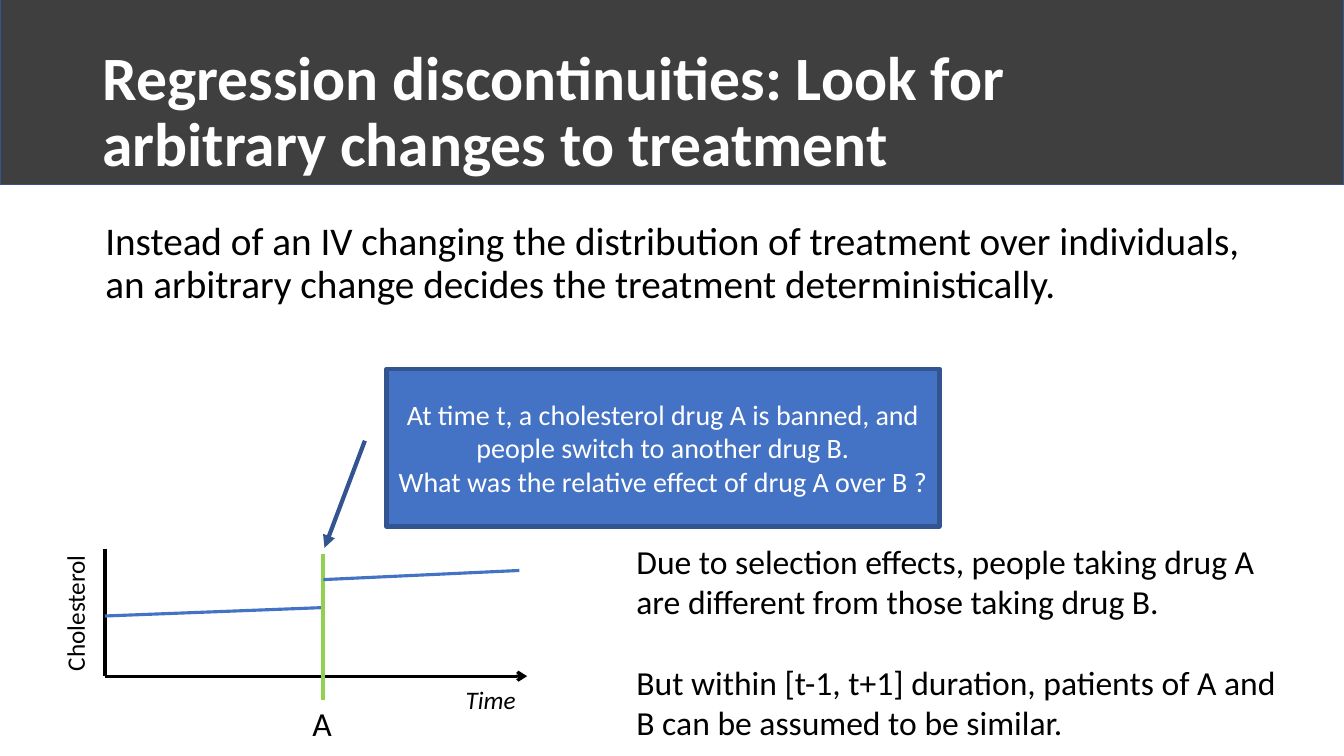
import pptx
import pptx.dml.color
import pptx.enum.shapes
import pptx.enum.text
import pptx.oxml.ns
import pptx.util
from lxml import etree

Pt = pptx.util.Pt
RGBColor = pptx.dml.color.RGBColor
Align = pptx.enum.text.PP_ALIGN
Anchor = pptx.enum.text.MSO_ANCHOR
AutoSize = pptx.enum.text.MSO_AUTO_SIZE
Shape = pptx.enum.shapes.MSO_SHAPE
qn = pptx.oxml.ns.qn

BLACK = RGBColor(0x00, 0x00, 0x00)
WHITE = RGBColor(0xFF, 0xFF, 0xFF)
CHARCOAL = RGBColor(0x3F, 0x3F, 0x3F)
BLUE = RGBColor(0x44, 0x72, 0xC4)
DARK_BLUE = RGBColor(0x32, 0x54, 0x91)
GREEN = RGBColor(0x92, 0xD0, 0x50)


class SlideBuilder:
    """Holds the font and the current slide; all lengths are in points."""

    font = "Calibri"

    def __init__(self, slide):
        self.slide = slide

    def add_runs(self, frame, paragraphs, size, color=BLACK, bold=False,
                 italic=False, align=Align.LEFT, gap=0, spacing=None):
        for i, words in enumerate(paragraphs):
            paragraph = frame.add_paragraph() if i else frame.paragraphs[0]
            paragraph.alignment = align
            paragraph.space_before = Pt(gap if i else 0)
            if spacing:
                paragraph.line_spacing = spacing
            run = paragraph.add_run()
            run.text = words
            run.font.name = self.font
            run.font.size = Pt(size)
            run.font.bold = bold
            run.font.italic = italic
            run.font.color.rgb = color

    def placeholder(self, index, box, words, size, anchor, **style):
        holder = self.slide.placeholders[index]
        holder.left, holder.top, holder.width, holder.height = map(Pt, box)
        frame = holder.text_frame
        frame.word_wrap = True
        frame.auto_size = AutoSize.NONE
        frame.vertical_anchor = anchor
        properties = frame.paragraphs[0]._p.get_or_add_pPr()
        properties.set("marL", "0")
        properties.set("indent", "0")
        etree.SubElement(properties, qn("a:buNone"))
        self.add_runs(frame, [words], size, spacing=0.9, **style)

    def text(self, box, paragraphs, size, wrap=True, rotation=0, **style):
        label = self.slide.shapes.add_textbox(*map(Pt, box))
        label.rotation = rotation
        label.text_frame.word_wrap = wrap
        self.add_runs(label.text_frame, paragraphs, size, **style)

    def shape(self, kind, box, fill, outline, weight):
        shape = self.slide.shapes.add_shape(kind, *map(Pt, box))
        shape.shadow.inherit = False
        shape.fill.solid()
        shape.fill.fore_color.rgb = fill
        shape.line.color.rgb = outline
        shape.line.width = Pt(weight)
        return shape

    def arrowhead(self, shape, kind):
        outline = shape.element.spPr.find(qn("a:ln"))
        etree.SubElement(outline, qn("a:tailEnd"), type=kind)

    def line(self, start, end, color, weight=2.25, head=None):
        line = self.slide.shapes.add_connector(
            pptx.enum.shapes.MSO_CONNECTOR.STRAIGHT, *map(Pt, start + end))
        line.line.color.rgb = color
        line.line.width = Pt(weight)
        etree.SubElement(line.element.spPr, qn("a:effectLst"))
        if head:
            self.arrowhead(line, head)


def main():
    deck = pptx.Presentation()
    deck.slide_width, deck.slide_height = Pt(960), Pt(540)
    slide = deck.slides.add_slide(deck.slide_layouts[1])
    build = SlideBuilder(slide)

    # Title band, placed behind the title
    band = build.shape(Shape.RECTANGLE, (0, -1, 960, 133), CHARCOAL, DARK_BLUE, 1)
    slide.shapes.element.insert(2, band.element)
    build.placeholder(
        0, (66, 29, 828, 104),
        "Regression discontinuities: Look for arbitrary changes to treatment",
        44, Anchor.MIDDLE, color=WHITE, bold=True)

    # Main statement
    build.placeholder(
        1, (68, 155, 828, 116),
        "Instead of an IV changing the distribution of treatment over "
        "individuals, an arbitrary change decides the treatment "
        "deterministically.", 28, Anchor.TOP)

    # Cholesterol over time, with a jump at the switch
    origin_x, origin_y, switch_x = 75, 483, 231
    build.text((325.5, 485, 51, 29), ["Time"], 18, wrap=False, italic=True)
    build.line((origin_x, origin_y), (origin_x, 392), BLACK)
    build.line((origin_x, origin_y), (376.5, origin_y), BLACK, head="arrow")
    build.text((4.5, 424, 98, 29), ["Cholesterol"], 18, rotation=270,
               align=Align.RIGHT)
    build.line((origin_x, 440), (switch_x, 434), BLUE)
    build.line((switch_x, 500), (switch_x, 395.5), GREEN, weight=3)
    build.line((switch_x, 414), (371, 407.5), BLUE)

    # Callout pointing at the switch
    callout = build.shape(Shape.LINE_CALLOUT_1, (276, 263.5, 395, 112.5),
                          BLUE, DARK_BLUE, 3)
    for i, value in enumerate((0.456, -0.039, 1.136, -0.112)):
        callout.adjustments[i] = value
    build.arrowhead(callout, "triangle")
    callout.text_frame.word_wrap = True
    callout.text_frame.vertical_anchor = Anchor.MIDDLE
    build.add_runs(callout.text_frame, [
        "At time t, a cholesterol drug A is banned, and people switch to "
        "another drug B.",
        "What was the relative effect of drug A over B ?",
    ], 20, color=WHITE, align=Align.CENTER)

    # Switch label and explanation
    build.text((216, 498.5, 19.5, 36), ["A"], 24)
    build.text((447.5, 382.5, 487, 153), [
        "Due to selection effects, people taking drug A are different from "
        "those taking drug B.",
        "But within [t-1, t+1] duration, patients of A and B can be assumed "
        "to be similar.",
    ], 24, gap=29)

    deck.save("out.pptx")


if __name__ == "__main__":
    main()
